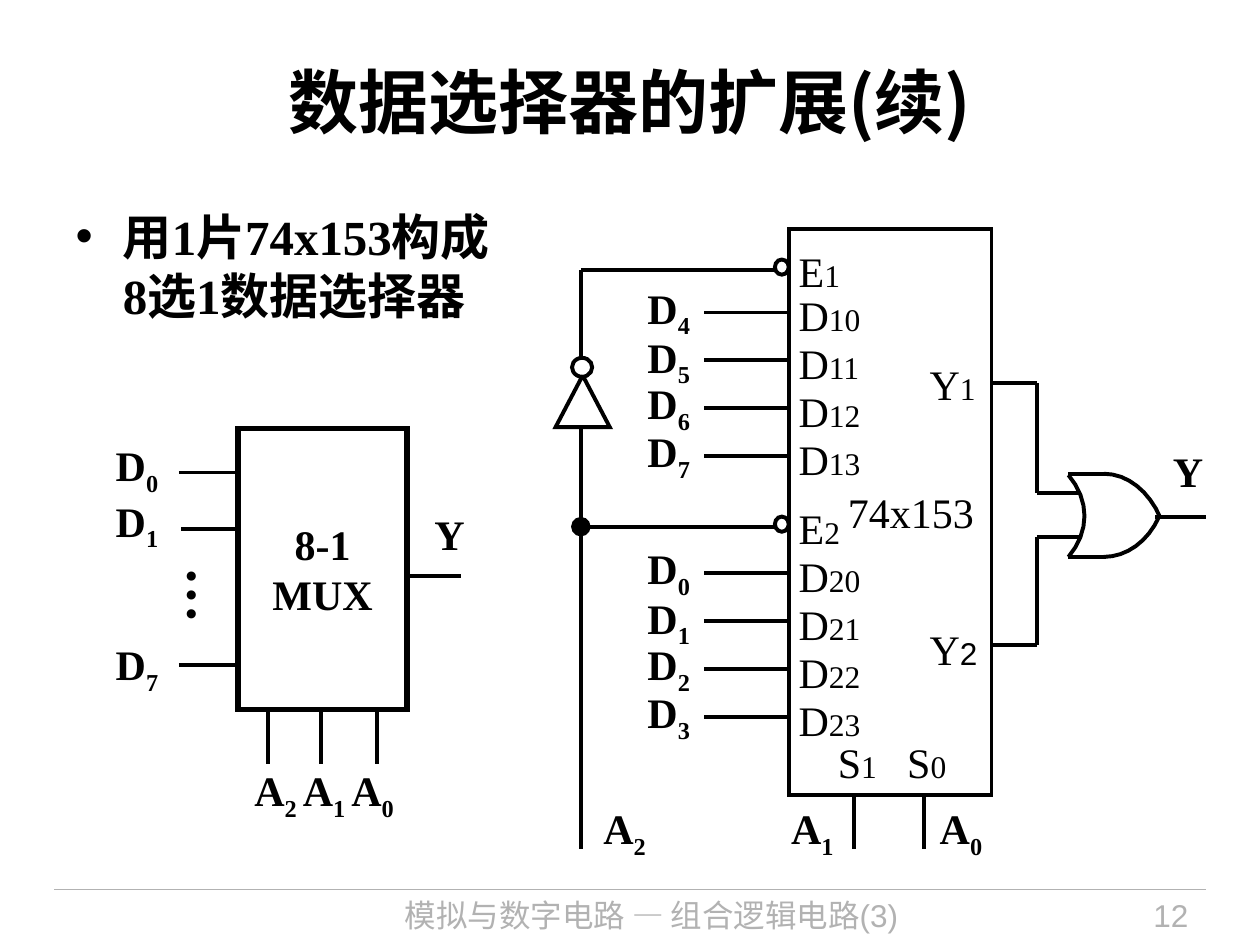
from dataclasses import dataclass

from lxml import etree
from pptx import Presentation
from pptx.dml.color import RGBColor
from pptx.enum.shapes import MSO_CONNECTOR as Connector, MSO_SHAPE as Shape
from pptx.enum.text import MSO_ANCHOR as Anchor, MSO_AUTO_SIZE as Fit, PP_ALIGN as Align
from pptx.oxml.ns import qn
from pptx.util import Inches, Pt


@dataclass(frozen=True)
class Theme:
    """Colours, fonts and type sizes of the deck."""
    ink: RGBColor = RGBColor(0, 0, 0)
    paper: RGBColor = RGBColor(255, 255, 255)
    muted: RGBColor = RGBColor(0xB2, 0xB2, 0xB2)
    serif: str = "Times New Roman"
    sans: str = "Arial"
    chinese: str = "Noto Sans CJK SC"
    title: int = 40
    dots: int = 32
    body: int = 28
    label: int = 24
    small: int = 18
    wire: float = 2.25
    frame: float = 3
    rule: float = 0.75


class Diagram:
    """Draws styled elements on one page."""

    def __init__(self, page, theme):
        """Keep the page and the style."""
        self.page, self.theme = page, theme

    def span(self, para, text, baseline=0, **changes):
        """Add one run, in label style unless changed."""
        theme = self.theme
        span = para.add_run()
        span.text = text
        color = changes.pop("color", theme.ink)
        style = {"name": theme.serif, "size": theme.label, "bold": False} | changes
        style["size"] = Pt(style["size"])
        for name, value in style.items():
            setattr(span.font, name, value)
        span.font.color.rgb = color
        props = span._r.get_or_add_rPr()
        if baseline:
            props.set("baseline", str(baseline))
        east = etree.Element(qn("a:ea"), typeface=theme.chinese)
        props.find(qn("a:latin")).addnext(east)

    def placeholder(self, box, place, spans, **frame):
        """Move and fill a template placeholder."""
        box.left, box.top, box.width, box.height = map(Inches, place)
        for name, value in ({"word_wrap": True, "auto_size": Fit.NONE} | frame).items():
            setattr(box.text_frame, name, value)
        para = box.text_frame.paragraphs[0]
        para.space_before = Pt(0)
        for text, style in spans:
            self.span(para, text, **style)
        return para

    def text(self, place, spans, align=Align.LEFT, rotation=0, margin=None):
        """Add an unwrapped text box made of (text, style) spans."""
        box = self.page.shapes.add_textbox(*map(Inches, place))
        box.rotation = rotation
        frame = box.text_frame
        frame.word_wrap, frame.auto_size = False, Fit.SHAPE_TO_FIT_TEXT
        if margin is not None:
            for side in ("left", "top", "right", "bottom"):
                setattr(frame, f"margin_{side}", Inches(margin))
        frame.paragraphs[0].alignment = align
        for text, style in spans:
            self.span(frame.paragraphs[0], text, **style)

    def signal(self, left, top, name, index="", width=0.55):
        """Add a bold signal name with a subscript."""
        spans = [(name, {"bold": True})]
        if index:
            spans.append((index, {"bold": True, "baseline": -25000}))
        self.text((left, top, width, 0.5), spans)

    def pin(self, left, top, name, index, width=0.69, align=Align.LEFT, font=None):
        """Add a chip pin name with a smaller index."""
        style = {"size": self.theme.small, "name": font or self.theme.serif}
        self.text((left, top, width, 0.5), [(name, {}), (index, style)], align)

    def wire(self, x1, y1, x2, y2, dot=False, color=None, width=None):
        """Add a straight line, with a junction dot at its start if asked."""
        line = self.page.shapes.add_connector(Connector.STRAIGHT, *map(Inches, (x1, y1, x2, y2)))
        line.line.color.rgb = color or self.theme.ink
        line.line.width = Pt(width or self.theme.wire)
        if dot:
            etree.SubElement(line.line._get_or_add_ln(), qn("a:headEnd"), type="oval", w="lg", len="lg")
        etree.SubElement(line._element.spPr, qn("a:effectLst"))

    def outline(self, shape, filled, width=None):
        """Give a shape its mitred line and fill."""
        shape.shadow.inherit = False
        shape.line.color.rgb = self.theme.ink
        shape.line.width = Pt(width or self.theme.wire)
        etree.SubElement(shape.line._get_or_add_ln(), qn("a:miter"), lim="800000")
        if filled:
            shape.fill.solid()
            shape.fill.fore_color.rgb = self.theme.paper
        else:
            shape.fill.background()
        return shape

    def shape(self, kind, place, filled=True, width=None):
        """Add an outlined preset shape."""
        return self.outline(self.page.shapes.add_shape(kind, *map(Inches, place)), filled, width)

    def arc(self, curve, steps=8):
        """Add an open outline that follows a cubic curve."""
        points = [tuple(map(Inches, bezier(curve, step / steps))) for step in range(steps + 1)]
        builder = self.page.shapes.build_freeform(*points[0])
        builder.add_line_segments(points[1:], close=False)
        self.outline(builder.convert_to_shape(), False)


def bezier(curve, t):
    """Return the point at t on a cubic curve."""
    weights = ((1 - t) ** 3, 3 * t * (1 - t) ** 2, 3 * t * t * (1 - t), t ** 3)
    return tuple(sum(w * point[axis] for w, point in zip(weights, curve)) for axis in (0, 1))


def draw_small_mux(art):
    """Draw the 8-1 multiplexer symbol."""
    box = art.shape(Shape.RECTANGLE, (1.89, 3.4, 1.34, 2.23), False, art.theme.frame)
    frame = box.text_frame
    frame.word_wrap, frame.vertical_anchor = False, Anchor.MIDDLE
    for para, text in zip((frame.paragraphs[0], frame.add_paragraph()), ("8-1", "MUX")):
        para.alignment = Align.CENTER
        art.span(para, text, bold=True)
    for index, top, x, y in (("0", 3.44, 1.42, 3.75), ("1", 3.88, 1.44, 4.2), ("7", 5.02, 1.42, 5.28)):
        art.signal(0.82, top, "D", index)
        art.wire(x, y, x + 0.46, y)
    art.text((1.05, 4.41, 0.65, 0.63), [("…", {"size": art.theme.dots, "bold": True})], rotation=270)
    art.signal(3.35, 3.99, "Y", width=0.44)
    art.wire(3.24, 4.57, 3.66, 4.57)
    bold, low = {"bold": True}, {"bold": True, "baseline": -25000}
    address = [("A", bold), ("2 ", low), ("A", bold), ("1 ", low), ("A", bold), ("0", low)]
    art.text((1.92, 6.02, 1.37, 0.5), address)
    for x in (2.13, 2.55, 2.99):
        art.wire(x, 5.63, x, 6.06)


def draw_chip(art):
    """Draw the 74x153 with its pins and input signals."""
    art.shape(Shape.RECTANGLE, (6.26, 1.82, 1.61, 4.49), False)
    art.text((6.73, 3.86, 1, 0.4), [("74x153", {})], Align.CENTER, margin=0)
    for half, enable, first, signal in ((1, 2.14, 2.48, 4), (2, 4.18, 4.55, 0)):
        art.wire(4.61, enable, 5.55, enable, dot=half == 2)
        art.wire(5.55, enable, 6.14, enable)
        art.shape(Shape.OVAL, (6.15, enable - 0.08, 0.11, 0.12))
        art.pin(6.24, enable - 0.24, "E", str(half), 0.53)
        for row, drop in enumerate((0, 0.39, 0.76, 1.14)):
            y = first + 0.38 * row
            art.wire(5.59, y, 6.26, y)
            art.pin(6.24, y - 0.23, "D", f"{half}{row}")
            art.signal(5.04, first - 0.29 + drop, "D", str(signal + row))
    for index, x, left in (("1", 6.78, 6.18), ("0", 7.33, 7.36)):
        art.pin(x - 0.23, 5.8, "S", index, 0.51, Align.CENTER)
        art.wire(x, 6.31, x, 6.74)
        art.signal(left, 6.32, "A", index)


def draw_inverter(art):
    """Draw the A2 line and its inverter."""
    art.wire(4.61, 2.14, 4.61, 6.74)
    art.shape(Shape.ISOSCELES_TRIANGLE, (4.41, 2.98, 0.43, 0.41))
    art.shape(Shape.OVAL, (4.54, 2.84, 0.16, 0.15))
    art.signal(4.69, 6.32, "A", "2")


def draw_output(art):
    """Draw the OR gate that joins both outputs."""
    for index, top, y, bend, font in (("1", 2.8, 3.04, 3.91, None), ("2", 4.9, 5.12, 4.26, art.theme.sans)):
        art.pin(7.28, top, "Y", index, 0.6, font=font)
        art.wire(7.87, y, 8.23, y)
        art.wire(8.23, y, 8.23, bend)
        art.wire(8.23, bend, 8.58, bend)
    for curve in (
        ((8.76, 3.76), (8.95, 3.76), (9.12, 3.9), (9.21, 4.11)),
        ((8.76, 4.42), (8.94, 4.42), (9.11, 4.3), (9.2, 4.1)),
        ((8.48, 3.77), (8.65, 3.97), (8.65, 4.22), (8.48, 4.42)),
    ):
        art.arc(curve)
    for y in (3.76, 4.42):
        art.wire(8.78, y, 8.48, y)
    art.wire(9.17, 4.1, 9.57, 4.1)
    art.signal(9.21, 3.49, "Y", width=0.44)


def main():
    """Build the deck."""
    theme = Theme()
    deck = Presentation()
    deck.slide_width, deck.slide_height = Inches(10), Inches(7.5)
    page = deck.slides.add_slide(deck.slide_layouts[1])
    art = Diagram(page, theme)
    head = {"size": theme.title, "bold": True}
    spans = [("数据选择器的扩展", head | {"name": theme.sans}), ("(续)", head | {"name": theme.chinese})]
    title = art.placeholder(page.shapes.title, (0.5, 0.17, 9, 1.25), spans, vertical_anchor=Anchor.MIDDLE)
    title.alignment = Align.CENTER
    point = [("用1片74x153构成8选1数据选择器", {"size": theme.body, "bold": True})]
    art.placeholder(page.placeholders[1], (0.5, 1.59, 3.59, 1.38), point)
    footer = {"name": theme.sans, "size": theme.small, "color": theme.muted}
    art.wire(0.43, 7.06, 9.57, 7.06, color=theme.muted, width=theme.rule)
    art.text((2.49, 7.06, 5.36, 0.44), [("模拟与数字电路 — 组合逻辑电路(3)", footer)], Align.CENTER)
    art.text((8.2, 7.06, 1.33, 0.44), [("12", footer)], Align.RIGHT)
    for draw in (draw_small_mux, draw_chip, draw_inverter, draw_output):
        draw(art)
    deck.save("out.pptx")


if __name__ == "__main__":
    main()
